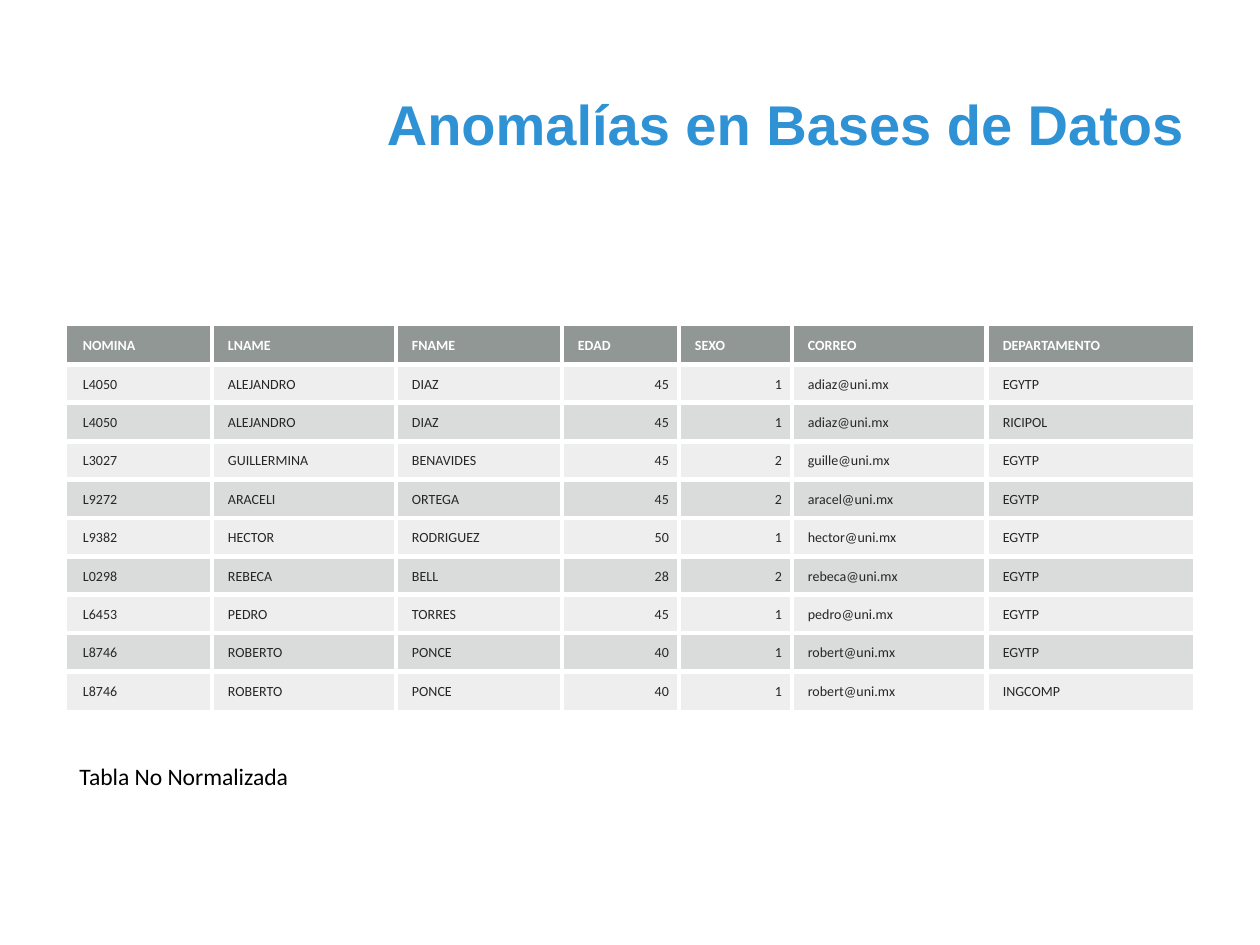
from lxml.etree import SubElement
from pptx import Presentation
from pptx.dml.color import RGBColor
from pptx.enum.text import MSO_ANCHOR, PP_ALIGN
from pptx.oxml import parse_xml
from pptx.oxml.ns import nsdecls, qn
from pptx.util import Pt

PX = 914400 // 126
WIDTHS = [145, 184, 166, 117, 113, 195, 206]
HEAD = ["NOMINA", "LNAME", "FNAME", "EDAD", "SEXO", "CORREO", "DEPARTAMENTO"]
STAFF = [
    ("L4050", "ALEJANDRO", "DIAZ", 45, 1, "adiaz", "EGYTP"),
    ("L4050", "ALEJANDRO", "DIAZ", 45, 1, "adiaz", "RICIPOL"),
    ("L3027", "GUILLERMINA", "BENAVIDES", 45, 2, "guille", "EGYTP"),
    ("L9272", "ARACELI", "ORTEGA", 45, 2, "aracel", "EGYTP"),
    ("L9382", "HECTOR", "RODRIGUEZ", 50, 1, "hector", "EGYTP"),
    ("L0298", "REBECA", "BELL", 28, 2, "rebeca", "EGYTP"),
    ("L6453", "PEDRO", "TORRES", 45, 1, "pedro", "EGYTP"),
    ("L8746", "ROBERTO", "PONCE", 40, 1, "robert", "EGYTP"),
    ("L8746", "ROBERTO", "PONCE", 40, 1, "robert", "INGCOMP"),
]


def px(*sizes):
    return [size * PX for size in sizes]


def paint(color, value):
    color.rgb = RGBColor.from_string(value)


def write(frame, text, size, color, font="Calibri", bold=False, align=PP_ALIGN.LEFT):
    """Put one styled run in the frame's first paragraph."""
    par = frame.paragraphs[0]
    par.alignment = align
    run = par.add_run()
    run.text = text
    run.font.name, run.font.size, run.font.bold = font, Pt(size), bold
    paint(run.font.color, color)


def label(slide, box, text, size, color, anchor=MSO_ANCHOR.TOP, **style):
    frame = slide.shapes.add_textbox(*px(*box)).text_frame
    frame.word_wrap = True
    frame.vertical_anchor = anchor
    write(frame, text, size, color, **style)


def tint(cell, color, alpha):
    """Fill the cell with a colour at alpha percent."""
    cell.fill.solid()
    paint(cell.fill.fore_color, color)
    tone = cell._tc.tcPr.find(".//" + qn("a:srgbClr"))
    SubElement(tone, qn("a:alpha"), val=str(alpha * 1000))


def rule(cell, inner):
    """Draw white lines on inner sides and none on outer ones."""
    props = cell._tc.get_or_add_tcPr()
    for spot, (side, shown) in enumerate(zip("LRTB", inner)):
        fill = '<a:solidFill><a:srgbClr val="FFFFFF"/></a:solidFill>' if shown else "<a:noFill/>"
        line = f'<a:ln{side} {nsdecls("a")} w="{Pt(3)}">{fill}</a:ln{side}>'
        props.insert(spot, parse_xml(line))


def roster(slide, box):
    rows = [HEAD] + [(*one[:5], one[5] + "@uni.mx", one[6]) for one in STAFF]
    count, span = len(rows), len(HEAD)
    table = slide.shapes.add_table(count, span, *px(*box)).table
    for col, width in zip(table.columns, WIDTHS):
        col.width = width * PX
    for r, row in enumerate(rows):
        for c, value in enumerate(row):
            cell = table.cell(r, c)
            cell.vertical_anchor = MSO_ANCHOR.BOTTOM
            cell.margin_left, cell.margin_top, cell.margin_right, cell.margin_bottom = px(16, 10, 10, 10)
            if r == 0:
                tint(cell, "636B68", 70)
            else:
                tint(cell, "878E8B", 15 if r % 2 else 30)
            rule(cell, (c > 0, c < span - 1, r > 0, r < count - 1))
            write(cell.text_frame, str(value), 8, "262626" if r else "FFFFFF", bold=r == 0,
                  align=PP_ALIGN.RIGHT if isinstance(value, int) else PP_ALIGN.LEFT)


def main():
    deck = Presentation()
    deck.slide_width, deck.slide_height = px(1260, 945)
    slide = deck.slides.add_slide(deck.slide_layouts[6])
    roster(slide, (67, 326, sum(WIDTHS), 384))
    label(slide, (67, 756, 662, 42), "Tabla No Normalizada", 13.5, "000000")
    label(slide, (164, 44, 1033, 158), "Anomalías en Bases de Datos", 32, "2E92D5",
          MSO_ANCHOR.MIDDLE, font="Arial", bold=True, align=PP_ALIGN.RIGHT)
    deck.save("out.pptx")


if __name__ == "__main__":
    main()
